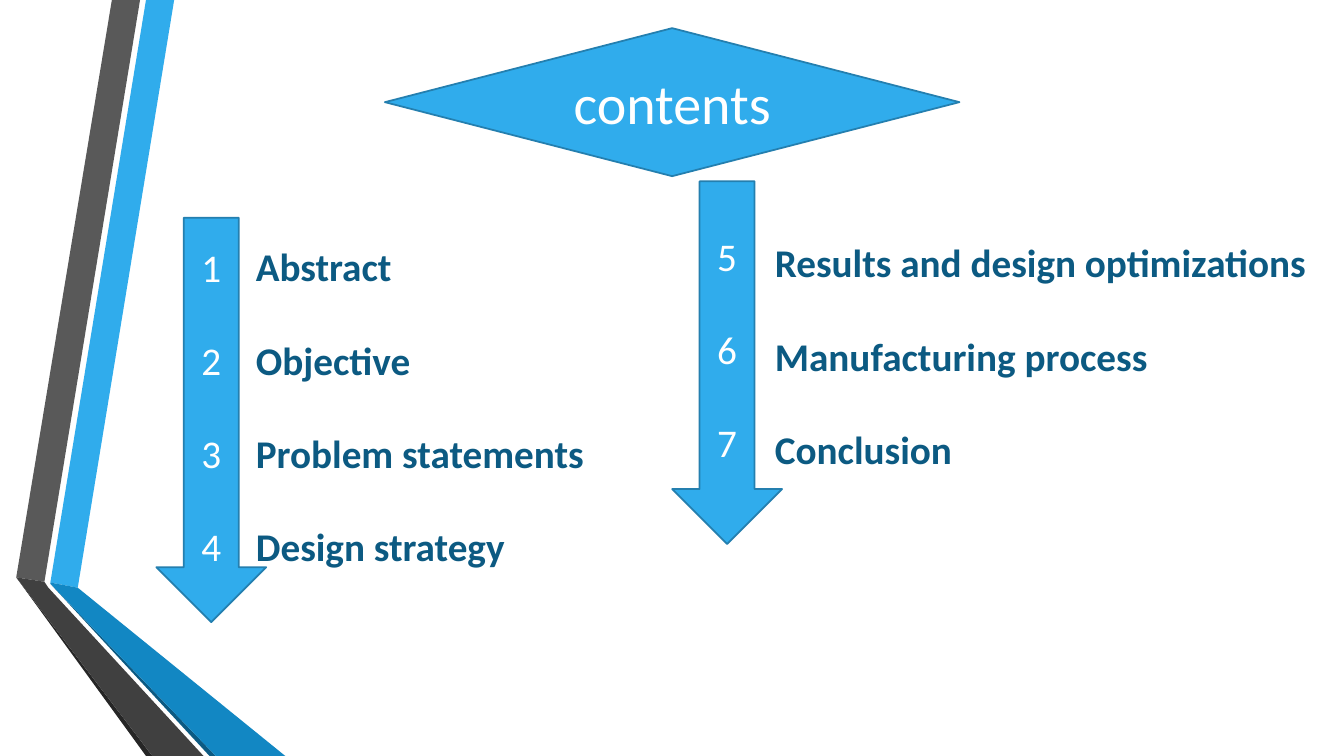
from pptx import Presentation
from pptx.dml.color import RGBColor
from pptx.enum.shapes import MSO_SHAPE
from pptx.enum.text import MSO_ANCHOR, PP_ALIGN
from pptx.util import Cm, Pt

WHITE = RGBColor(0xFF, 0xFF, 0xFF)
BLUE = RGBColor(0x30, 0xAC, 0xEC)
OUTLINE = RGBColor(0x24, 0x7F, 0xAF)
DEEP_BLUE = RGBColor(0x12, 0x87, 0xC3)
NAVY = RGBColor(0x0C, 0x5A, 0x82)
GREY = RGBColor(0x59, 0x59, 0x59)
DARK_GREY = RGBColor(0x40, 0x40, 0x40)
BLACK = RGBColor(0x26, 0x26, 0x26)

RIBBONS = [
    (BLUE, [(1.27, 14.68), (1.96, 14.81), (4.39, 0), (3.68, 0)]),
    (GREY, [(3.53, 0), (2.82, 0), (0.41, 14.55), (1.12, 14.66)]),
    (BLACK, [(0.41, 14.55), (3.68, 19.05), (3.84, 19.05)]),
    (NAVY, [(1.27, 14.71), (5.28, 19.05), (5.44, 19.05)]),
    (DEEP_BLUE, [(1.27, 14.68), (1.27, 14.71), (5.44, 19.05),
                 (7.19, 19.05), (1.96, 14.81)]),
    (DARK_GREY, [(5.13, 19.05), (1.22, 14.81), (1.12, 14.66),
                 (0.41, 14.55), (3.84, 19.05)]),
]

COLUMNS = [
    (["Abstract", "Objective", "Problem statements", "Design strategy"],
     (6.2, 5.99, 27, 10.19), (3.94, 5.49, 2.77, 10.19)),
    (["Results and design optimizations", "Manufacturing process", "Conclusion"],
     (19.28, 5.89, 14.58, 6.25), (16.94, 4.57, 2.77, 9.14)),
]


def write(tf, lines, size=28, color=WHITE, bold=False, align=PP_ALIGN.CENTER, gap=33):
    for i, line in enumerate(lines):
        p = tf.paragraphs[0] if i == 0 else tf.add_paragraph()
        p.alignment = align
        if i:
            p.space_before = Pt(gap)
        r = p.add_run()
        r.text = line
        r.font.name = "Calibri"
        r.font.size = Pt(size)
        r.font.bold = bold
        r.font.color.rgb = color


class Deck:
    """Draws styled elements on the current slide."""

    def __init__(self, prs):
        self.s = prs.slides.add_slide(prs.slide_layouts[6])

    def ribbon(self, color, points):
        corners = [(Cm(x), Cm(y)) for x, y in points]
        builder = self.s.shapes.build_freeform(*corners[0], scale=1.0)
        builder.add_line_segments(corners[1:], close=True)
        sp = builder.convert_to_shape()
        sp.shadow.inherit = False
        sp.fill.solid()
        sp.fill.fore_color.rgb = color
        sp.line.fill.background()

    def shape(self, kind, box, lines, **fmt):
        sp = self.s.shapes.add_shape(kind, *map(Cm, box))
        sp.shadow.inherit = False
        sp.fill.solid()
        sp.fill.fore_color.rgb = BLUE
        sp.line.color.rgb = OUTLINE
        sp.line.width = Pt(1.25)
        tf = sp.text_frame
        tf.vertical_anchor = MSO_ANCHOR.MIDDLE
        tf.margin_top = tf.margin_bottom = Cm(0)
        write(tf, lines, **fmt)

    def text(self, box, lines, **fmt):
        tf = self.s.shapes.add_textbox(*map(Cm, box)).text_frame
        tf.word_wrap = True
        write(tf, lines, **fmt)


def main():
    prs = Presentation()
    prs.slide_width, prs.slide_height = Cm(33.87), Cm(19.05)
    deck = Deck(prs)
    for color, points in RIBBONS:
        deck.ribbon(color, points)
    deck.shape(MSO_SHAPE.FLOWCHART_DECISION, (9.7, 0.71, 14.48, 3.73),
               ["contents"], size=40)
    number = 1
    for topics, text_box, arrow_box in COLUMNS:
        deck.text(text_box, topics, color=NAVY, bold=True, align=PP_ALIGN.LEFT)
        numbers = [str(number + i) for i in range(len(topics))]
        deck.shape(MSO_SHAPE.DOWN_ARROW, arrow_box, numbers)
        number += len(topics)
    prs.save("out.pptx")


if __name__ == "__main__":
    main()
